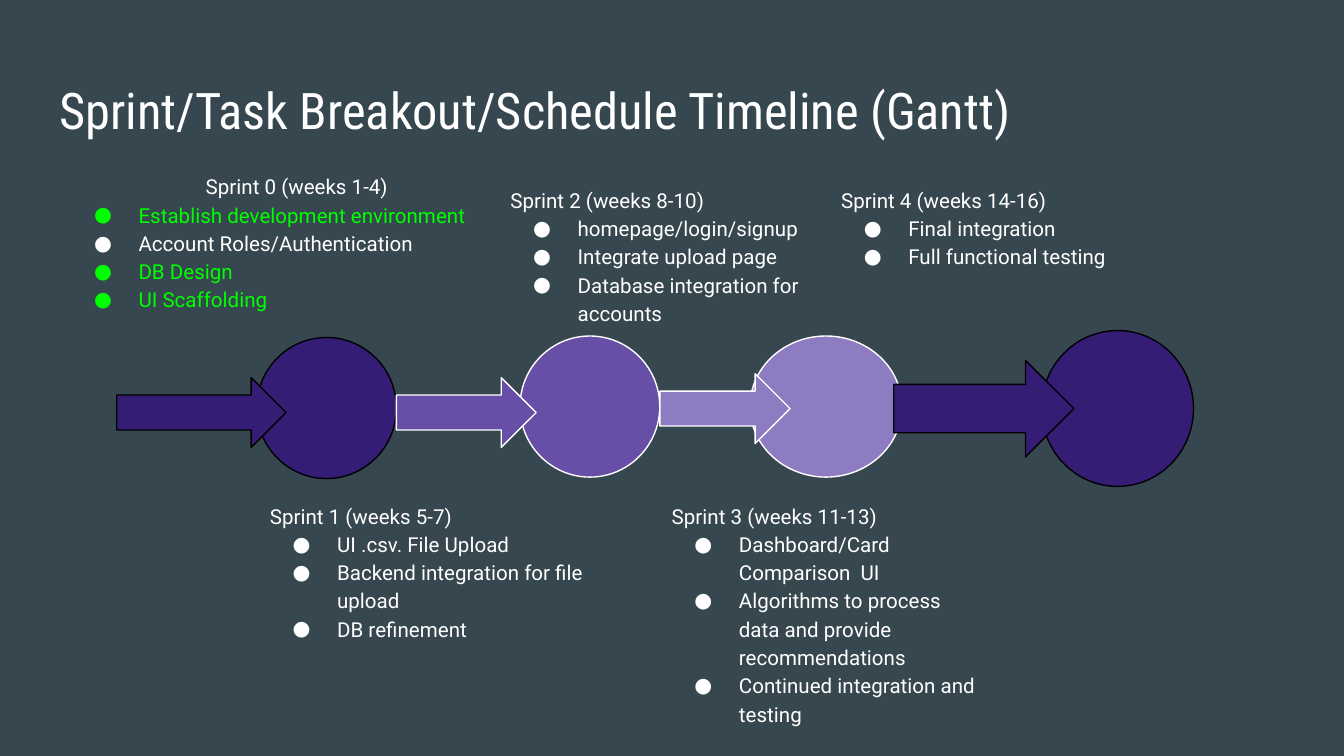
from lxml.etree import SubElement
from pptx import Presentation
from pptx.dml.color import RGBColor
from pptx.enum.shapes import MSO_SHAPE
from pptx.enum.text import MSO_ANCHOR, MSO_AUTO_SIZE, PP_ALIGN
from pptx.oxml.ns import qn
from pptx.util import Pt

THEME = {
    "background": "37474F", "text": "FFFFFF", "done": "00FF00",
    "dark": "351C75", "medium": "674EA7", "light": "8E7CC3",
    "dark line": "000000", "light line": "FFFFFF",
    "title font": "Roboto Condensed", "title size": 27,
    "body font": "Roboto", "body size": 11,
}


def color(name):
    return RGBColor.from_string(THEME[name])


def write_paragraph(para, text, kind="body", color_name="text", bullet=False, indent=(0, 0)):
    """Fill a paragraph; indent is (left margin, first line) in points."""
    para_format = {
        "alignment": PP_ALIGN.LEFT,
        "line_spacing": 1.15 if kind == "body" else 1.0,
        "space_before": Pt(0),
        "space_after": Pt(0),
    }
    for name, value in para_format.items():
        setattr(para, name, value)
    properties = para._p.get_or_add_pPr()
    properties.set("marL", str(Pt(indent[0])))
    properties.set("indent", str(Pt(indent[1])))
    if bullet:
        bullet_color = SubElement(properties, qn("a:buClr"))
        SubElement(bullet_color, qn("a:srgbClr"), val=THEME[color_name])
        SubElement(properties, qn("a:buFont"), typeface=THEME["body font"])
        SubElement(properties, qn("a:buChar"), char="●")
    else:
        SubElement(properties, qn("a:buNone"))
    span = para.add_run()
    span.text = text
    span.font.name = THEME[f"{kind} font"]
    span.font.size = Pt(THEME[f"{kind} size"])
    span.font.color.rgb = color(color_name)


deck = Presentation()
deck.slide_width, deck.slide_height = Pt(720), Pt(405)
page = deck.slides.add_slide(deck.slide_layouts[1])
page.background.fill.solid()
page.background.fill.fore_color.rgb = color("background")

frame_format = {
    "margin_left": Pt(7.2), "margin_right": Pt(7.2),
    "margin_top": Pt(7.2), "margin_bottom": Pt(7.2),
    "word_wrap": True, "vertical_anchor": MSO_ANCHOR.TOP,
}
box_format = ("left", "top", "width", "height")

# Title
title = page.shapes.title
for name, value in zip(box_format, (24.5, 35.3, 671, 45.4)):
    setattr(title, name, Pt(value))
for name, value in frame_format.items():
    setattr(title.text_frame, name, value)
title.text_frame.auto_size = MSO_AUTO_SIZE.NONE
write_paragraph(title.text_frame.paragraphs[0],
                "Sprint/Task Breakout/Schedule Timeline (Gantt)", "title")

# Timeline: circles first, so that each arrow lies over its circle
circles = [
    ((137.5, 180.8, 74.9, 75.6), "dark", "dark line"),
    ((278.6, 180, 74.9, 75.6), "medium", "light line"),
    ((401.8, 180, 81.4, 75.6), "light", "light line"),
    ((558, 177.1, 81.4, 83.5), "dark", "dark line"),
]
arrows = [
    ((62.6, 202.3, 90.7, 37.4), "dark", "dark line"),
    ((212.4, 202.3, 74.9, 37.4), "medium", "light line"),
    ((353.5, 200.2, 69.8, 37.4), "light", "light line"),
    ((478.8, 193, 96.5, 51.8), "dark", "dark line"),
]
for preset, steps in ((MSO_SHAPE.OVAL, circles), (MSO_SHAPE.RIGHT_ARROW, arrows)):
    for place, fill_name, line_name in steps:
        step = page.shapes.add_shape(preset, *map(Pt, place))
        step.shadow.inherit = False
        step.fill.solid()
        step.fill.fore_color.rgb = color(fill_name)
        step.line.color.rgb = color(line_name)
        step.line.width = Pt(0.75)

# Sprint lists: place, heading, heading indent, tasks with their colours
sprints = [
    ((31, 84.2, 234.7, 92.9), "Sprint 0 (weeks 1-4)", (36, 36), [
        ("Establish development environment", "done"),
        ("Account Roles/Authentication", "text"),
        ("DB Design", "done"),
        ("UI Scaffolding", "done")]),
    ((137.5, 260.6, 195.1, 104.4), "Sprint 1 (weeks 5-7)", (0, 0), [
        ("UI .csv. File Upload", "text"),
        ("Backend integration for file upload", "text"),
        ("DB refinement", "text")]),
    ((266.4, 91.4, 187.2, 104.4), "Sprint 2 (weeks 8-10)", (0, 0), [
        ("homepage/login/signup", "text"),
        ("Integrate upload page", "text"),
        ("Database integration for accounts", "text")]),
    ((352.8, 260.6, 180, 150.5), "Sprint 3 (weeks 11-13)", (0, 0), [
        ("Dashboard/Card Comparison  UI", "text"),
        ("Algorithms to process data and provide recommendations", "text"),
        ("Continued integration and testing", "text")]),
    ((443.5, 91.4, 167, 58.3), "Sprint 4 (weeks 14-16)", (0, 0), [
        ("Final integration", "text"),
        ("Full functional testing", "text")]),
]
for number, (place, heading, heading_indent, tasks) in enumerate(sprints):
    if number == 0:
        box = page.placeholders[1]
        for name, value in zip(box_format, place):
            setattr(box, name, Pt(value))
        box.text_frame.auto_size = MSO_AUTO_SIZE.NONE
    else:
        box = page.shapes.add_textbox(*map(Pt, place))
        box.text_frame.auto_size = MSO_AUTO_SIZE.SHAPE_TO_FIT_TEXT
    for name, value in frame_format.items():
        setattr(box.text_frame, name, value)
    write_paragraph(box.text_frame.paragraphs[0], heading, indent=heading_indent)
    for task, color_name in tasks:
        write_paragraph(box.text_frame.add_paragraph(), task, color_name=color_name,
                        bullet=True, indent=(36, -23.8))

deck.save("out.pptx")
